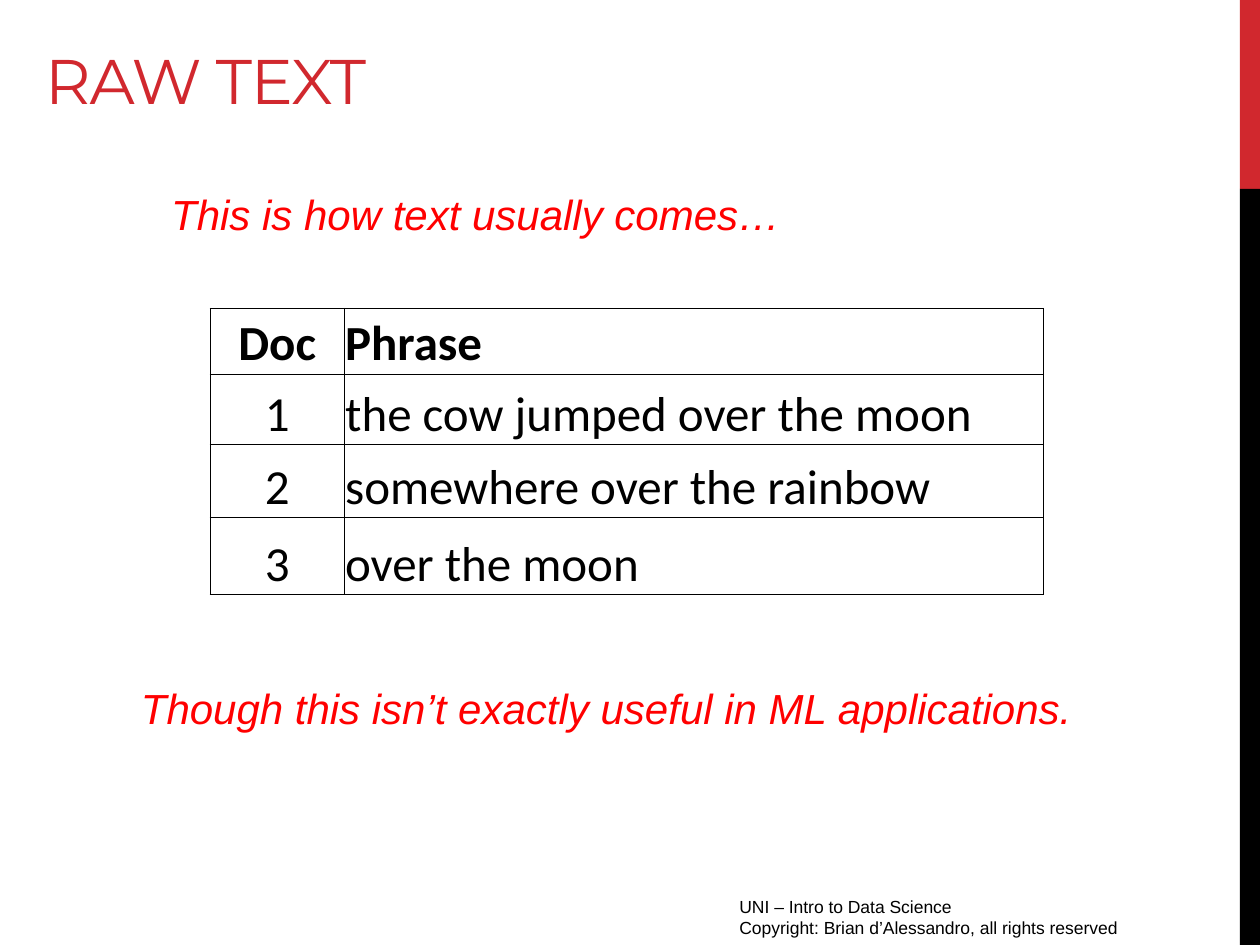
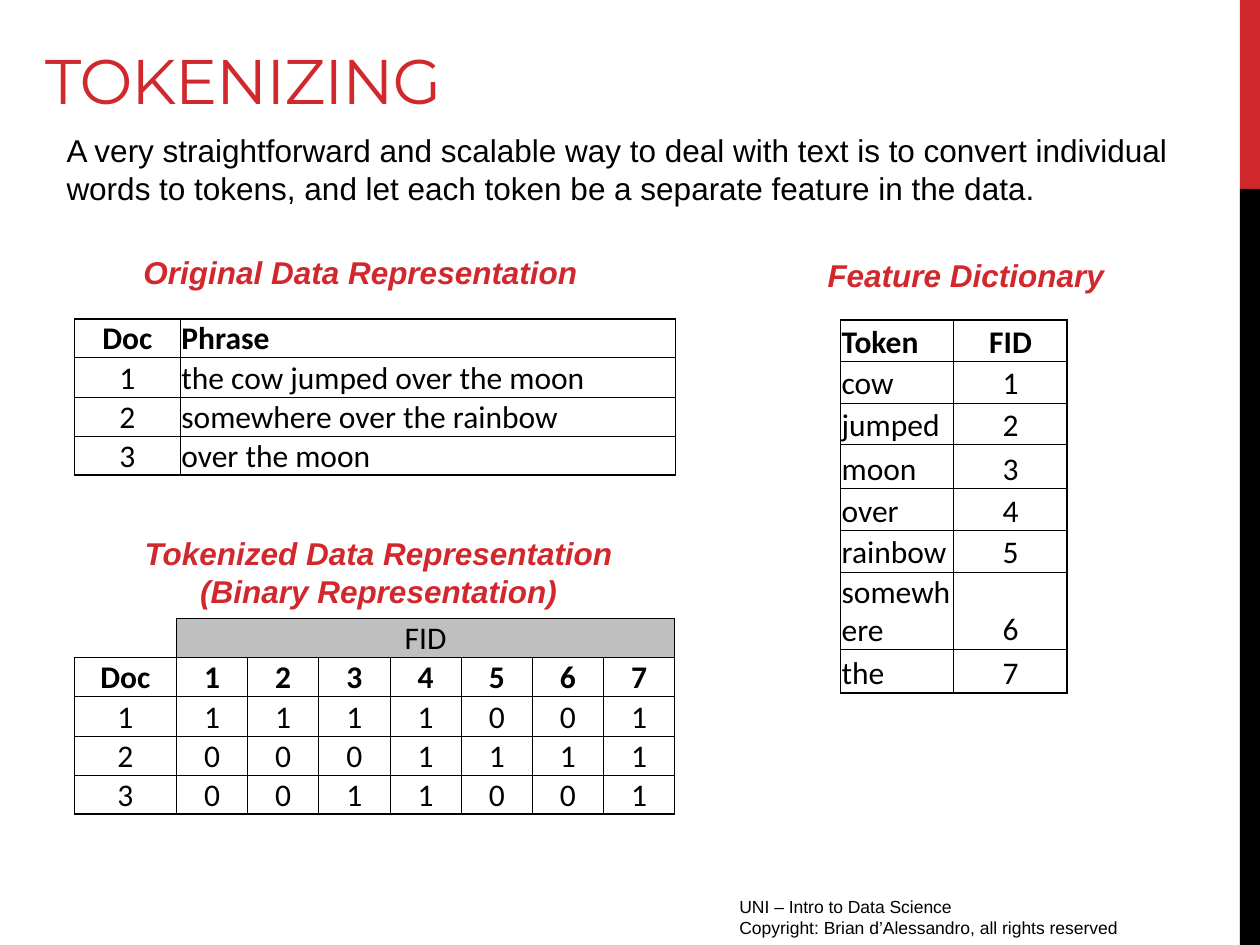
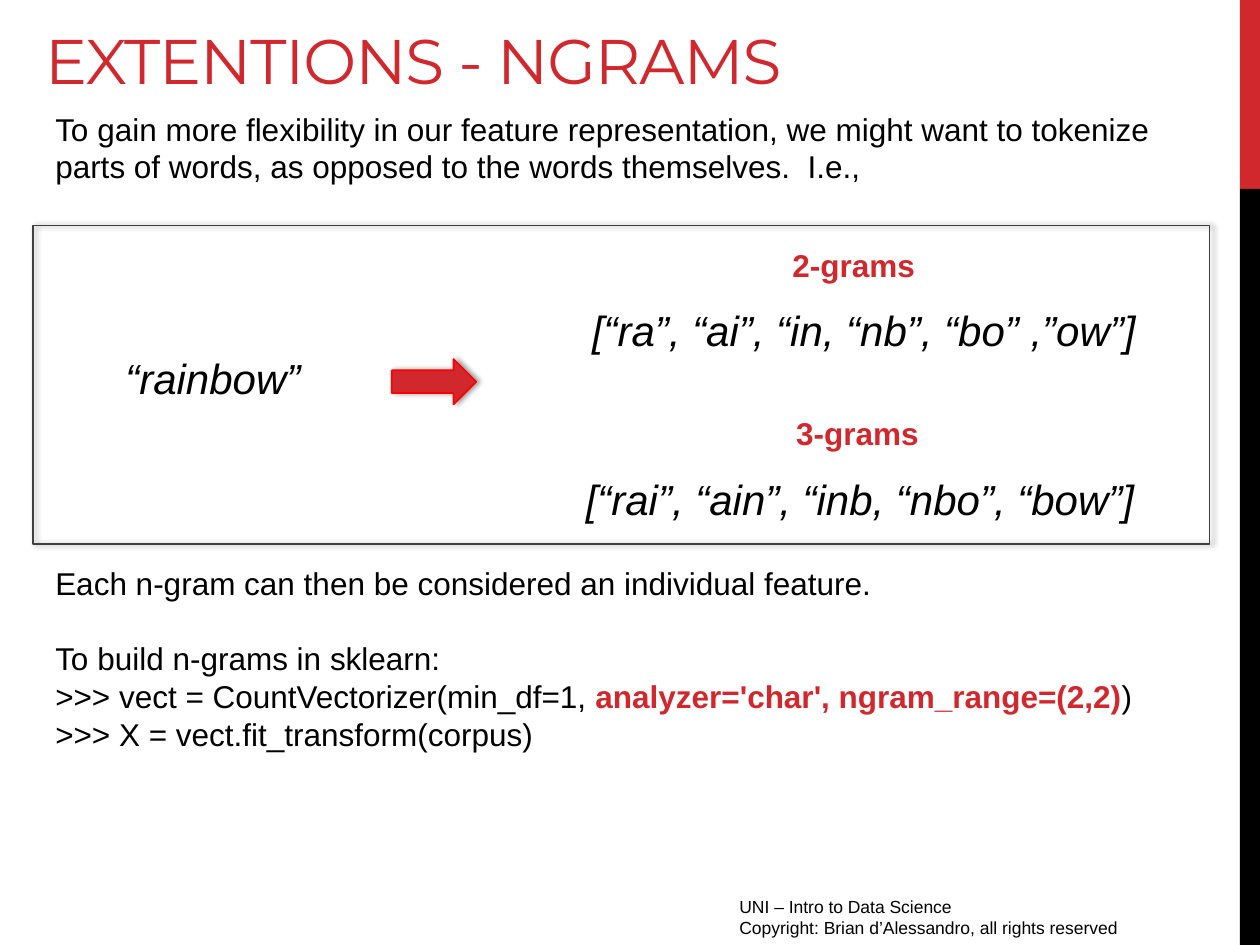
from lxml import etree
from pptx import Presentation, util as u
from pptx.dml.color import RGBColor
from pptx.enum import shapes, text
from pptx.oxml import ns

ACCENT = RGBColor(0xD1, 0x28, 0x2E)
RED = RGBColor(0xFF, 0x00, 0x00)
BLACK = RGBColor(0x00, 0x00, 0x00)
DARK_GREY = RGBColor(0x40, 0x40, 0x40)
LIGHT_GREY = RGBColor(0xBF, 0xBF, 0xBF)

BODY_FONT, TITLE_FONT, TABLE_FONT = "Arial", "Montserrat", "Calibri"
HEAVY, THIN = 1, 0.5
LEFT, CENTER = text.PP_ALIGN.LEFT, text.PP_ALIGN.CENTER

PHRASES = [
    ["Doc", "Phrase"],
    [1, "the cow jumped over the moon"],
    [2, "somewhere over the rainbow"],
    [3, "over the moon"],
]
TOKENS = ["cow", "jumped", "moon", "over", "rainbow", "somewhere", "the"]


def set_edges(cell, left, right, top, bottom):
    """Set the four border widths of a cell in points; 0 hides a border."""
    props = cell._tc.get_or_add_tcPr()
    for index, (side, width) in enumerate(zip("LRTB", (left, right, top, bottom))):
        tag = ns.qn(f"a:ln{side}")
        for old in props.findall(tag):
            props.remove(old)
        line = etree.Element(tag, w=str(u.Pt(width)))
        if width:
            fill = etree.SubElement(line, ns.qn("a:solidFill"))
            etree.SubElement(fill, ns.qn("a:srgbClr"), val=str(BLACK))
        else:
            etree.SubElement(line, ns.qn("a:noFill"))
        props.insert(index, line)


def add_shadow(shape):
    effects = shape._element.spPr.find(ns.qn("a:effectLst"))
    shadow = etree.SubElement(
        effects, ns.qn("a:outerShdw"), blurRad=str(u.Pt(3.1)),
        dist=str(u.Pt(1.8)), dir="0", rotWithShape="0")
    color = etree.SubElement(shadow, ns.qn("a:srgbClr"), val=str(BLACK))
    etree.SubElement(color, ns.qn("a:alpha"), val="40000")


class Lecture:
    def __init__(self):
        self.deck = Presentation()
        self.deck.slide_width, self.deck.slide_height = u.Inches(10), u.Inches(7.5)
        self.page = None

    def start_page(self, title, title_top=0.26):
        """Add a page with side bands, footer and title."""
        self.page = self.deck.slides.add_slide(self.deck.slide_layouts[6])
        for top, height, color in ((0, 1.5, ACCENT), (1.5, 6, BLACK)):
            self.shape(shapes.MSO_SHAPE.RECTANGLE, (9.84, top, 0.16, height), color)
        self.text((5.77, 7.06, 3.75, 0.31),
                  ["UNI – Intro to Data Science",
                   "Copyright: Brian d’Alessandro, all rights reserved"], size=10)
        box = self.text((0.26, title_top, 9.45, 0.72), [title], size=36,
                        color=ACCENT, font=TITLE_FONT)
        box.text_frame.vertical_anchor = text.MSO_ANCHOR.BOTTOM
        span = box.text_frame.paragraphs[0].runs[0]
        span._r.get_or_add_rPr().set("spc", "-60")

    def shape(self, kind, place, fill=None, line=None, shadow=False):
        shape = self.page.shapes.add_shape(kind, *map(u.Inches, place))
        shape.shadow.inherit = False
        if fill is None:
            shape.fill.background()
        else:
            shape.fill.solid()
            shape.fill.fore_color.rgb = fill
        if line is None:
            shape.line.fill.background()
        else:
            shape.line.color.rgb = line
            shape.line.width = u.Pt(1)
        if shadow:
            add_shadow(shape)

    def style(self, para, size, color=BLACK, font=BODY_FONT, bold=False,
              italic=False, align=LEFT):
        para.alignment = align
        para.font.name, para.font.size = font, u.Pt(size)
        para.font.bold, para.font.italic = bold, italic
        para.font.color.rgb = color

    def text(self, place, lines, size=18, wrap=True, **look):
        """Add a text box; a line given as a tuple has every second part stressed."""
        box = self.page.shapes.add_textbox(*map(u.Inches, place))
        frame = box.text_frame
        frame.word_wrap = wrap
        for index, line in enumerate(lines):
            para = frame.add_paragraph() if index else frame.paragraphs[0]
            self.style(para, size, **look)
            parts = (line,) if isinstance(line, str) else line
            for number, part in enumerate(parts):
                span = para.add_run()
                span.text = part
                if number % 2:
                    span.font.bold = True
                    span.font.color.rgb = ACCENT
        return box

    def heading(self, place, *lines, **look):
        self.text(place, lines, color=ACCENT, bold=True, **look)

    def table(self, left, top, widths, heights, rows, aligns, size=18, head=0):
        """Add a table with a heavy outline and thin inner lines."""
        frame = self.page.shapes.add_table(
            len(rows), len(widths), u.Inches(left), u.Inches(top),
            u.Inches(sum(widths)), u.Inches(sum(heights)))
        grid = frame.table
        grid.first_row = grid.horz_banding = False
        for column, width in zip(grid.columns, widths):
            column.width = u.Inches(width)
        for row, height in zip(grid.rows, heights):
            row.height = u.Inches(height)
        last_row, last_col = len(rows) - 1, len(widths) - 1
        for r, values in enumerate(rows):
            for c, value in enumerate(values):
                cell = grid.cell(r, c)
                cell.margin_left = cell.margin_right = cell.margin_top = u.Inches(0.01)
                cell.margin_bottom = 0
                cell.vertical_anchor = text.MSO_ANCHOR.BOTTOM
                cell.fill.background()
                cell.text = str(value)
                self.style(cell.text_frame.paragraphs[0], size, font=TABLE_FONT,
                           bold=r == head, align=aligns[c])
                outer = (c == 0, c == last_col, r == 0, r == last_row)
                set_edges(cell, *(HEAVY if edge else THIN for edge in outer))
        return grid


def raw_text(lecture):
    lecture.start_page("RAW TEXT")
    lecture.table(1.67, 2.45, [1.06, 5.55], [0.52, 0.56, 0.58, 0.61], PHRASES,
                  [CENTER, LEFT], size=28)
    remarks = (((1.26, 1.45, 7.02, 0.5), "This is how text usually comes…"),
               ((1.02, 5.37, 7.76, 0.5),
                "Though this isn’t exactly useful in ML applications."))
    for place, remark in remarks:
        lecture.text(place, [remark], size=24, color=RED, italic=True)


def tokenizing(lecture):
    lecture.start_page("TOKENIZING")
    lecture.text((0.43, 0.99, 9.04, 0.71), [
        "A very straightforward and scalable way to deal with text is to convert "
        "individual words to tokens, and let each token be a separate feature in "
        "the data."])

    # Feature dictionary
    dictionary = [["Token", "FID"]] + [[t, n] for n, t in enumerate(TOKENS, 1)]
    lecture.table(6.67, 2.54, [0.9, 0.9], [0.33, 0.33, 0.33, 0.35] * 2,
                  dictionary, [LEFT, CENTER])

    # One binary column per token, under a merged heading
    binary = [["", "FID"] + [""] * 6, ["Doc", *range(1, 8)]]
    for doc, phrase in PHRASES[1:]:
        words = phrase.split()
        binary.append([doc] + [int(token in words) for token in TOKENS])
    grid = lecture.table(0.59, 4.91, [0.81] + [0.565] * 7, [0.31] * 5, binary,
                         [CENTER] * 8, head=1)
    band = grid.cell(0, 1)
    band.merge(grid.cell(0, 7))
    band.fill.solid()
    band.fill.fore_color.rgb = LIGHT_GREY
    set_edges(grid.cell(0, 0), 0, HEAVY, 0, HEAVY)
    for c in range(8):
        if c:
            set_edges(grid.cell(0, c), HEAVY, HEAVY, HEAVY, HEAVY)
        set_edges(grid.cell(1, c), THIN if c else HEAVY,
                  HEAVY if c == 7 else THIN, HEAVY, THIN)

    # Source phrases
    lecture.table(0.59, 2.53, [0.84, 3.93], [0.31] * 4, PHRASES, [CENTER, LEFT])

    lecture.heading((1.04, 1.96, 4.09, 0.4), "Original Data Representation",
                    italic=True)
    lecture.heading((0.96, 4.19, 4.09, 0.71), "Tokenized Data Representation",
                    "(Binary Representation)", italic=True, align=CENTER)
    lecture.heading((5.62, 1.98, 4.09, 0.4), "Feature Dictionary",
                    italic=True, align=CENTER)


def ngrams(lecture):
    lecture.start_page("EXTENTIONS - NGRAMS", title_top=0.1)
    lecture.text((0.34, 0.82, 8.98, 1.01), [
        "To gain more flexibility in our feature representation, we might want to "
        "tokenize parts of words, as opposed to the words themselves.  I.e.,"])

    # Framed example
    example = dict(size=24, italic=True)
    lecture.text((0.26, 2.75, 2.86, 0.5), ["“rainbow”"], align=CENTER, **example)
    lecture.heading((6.19, 1.9, 1.18, 0.4), "2-grams", wrap=False)
    lecture.text((4.6, 2.37, 4.69, 0.5),
                 ["[“ra”, “ai”, “in, “nb”, “bo” ,”ow”]"], **example)
    lecture.shape(shapes.MSO_SHAPE.RIGHT_ARROW, (3.11, 2.85, 0.67, 0.36),
                  ACCENT, RED, shadow=True)
    lecture.heading((6.22, 3.24, 1.18, 0.4), "3-grams", wrap=False)
    lecture.text((4.33, 3.71, 4.99, 0.5),
                 ["[“rai”, “ain”, “inb, “nbo”, “bow”]"], align=CENTER, **example)
    lecture.shape(shapes.MSO_SHAPE.RECTANGLE, (0.26, 1.79, 9.34, 2.53),
                  line=DARK_GREY, shadow=True)

    # Code
    box = lecture.text((0.34, 4.43, 9.25, 1.92), [
        "Each n-gram can then be considered an individual feature.",
        "To build n-grams in sklearn:",
        (">>> vect = CountVectorizer(min_df=1, ",
         "analyzer='char', ngram_range=(2,2)", ")"),
        ">>> X = vect.fit_transform(corpus)"])
    box.text_frame.paragraphs[1].space_before = u.Pt(21)


def main():
    lecture = Lecture()
    for build in (raw_text, tokenizing, ngrams):
        build(lecture)
    lecture.deck.save("out.pptx")


if __name__ == "__main__":
    main()
